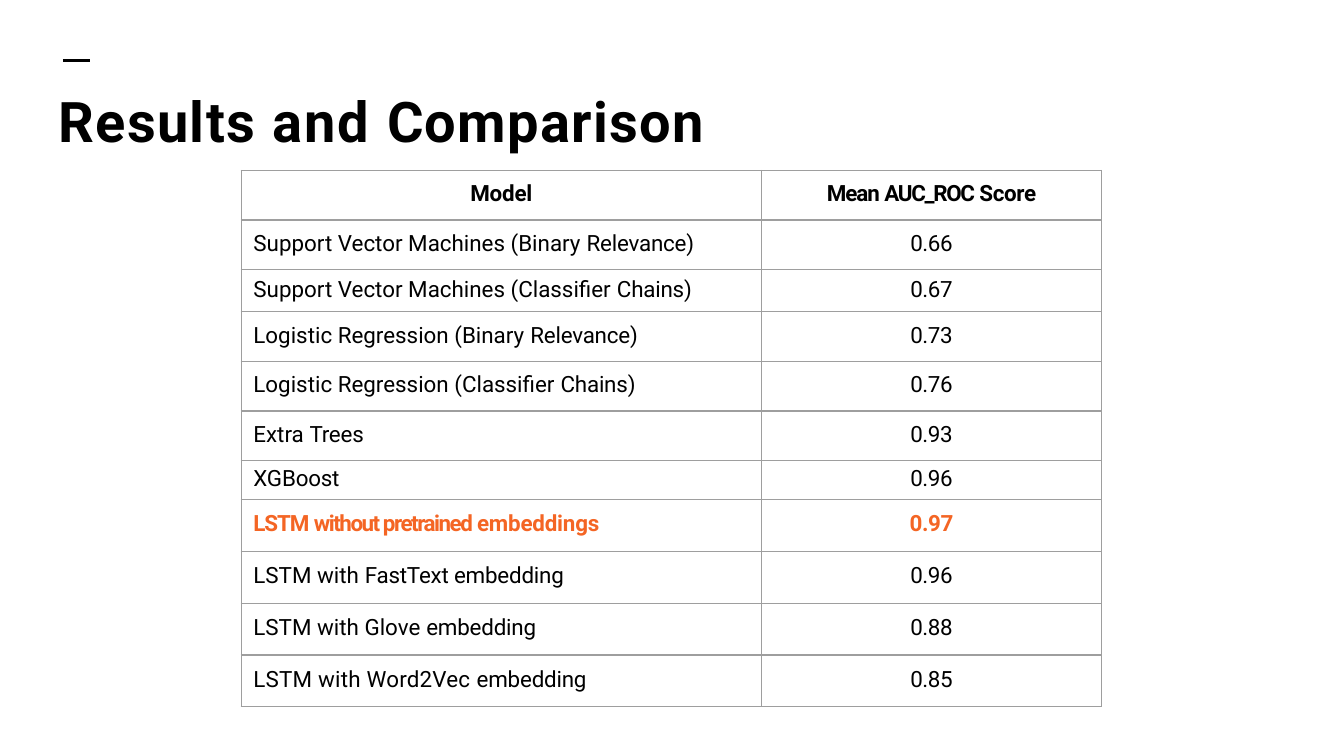
"""Build the results slide: a title above a table of models and scores."""
from lxml.etree import SubElement
from pptx import Presentation
from pptx.dml.color import RGBColor
from pptx.enum.shapes import MSO_CONNECTOR
from pptx.enum.text import MSO_ANCHOR, MSO_AUTO_SIZE, PP_ALIGN
from pptx.oxml import parse_xml
from pptx.oxml.ns import nsdecls, qn
from pptx.util import Cm, Pt

FONT, BLACK, ORANGE, GREY = "Roboto", "000000", "F46524", "9E9E9E"
TITLE = [("Results ", 0.8), ("and ", 1), ("Comparison", 0.7)]
HEADER = ([("Model", -0.1)], [("Mean ", -0.6), ("AUC_ROC ", -0.7), ("Score", -0.2)])
RESULTS = [
    ([("Support Vector Machines (Binary ", 0), ("Relevance)", -0.1)], "0.66"),
    ([("Support Vector Machines (Classifier ", 0), ("Chains)", -0.1)], "0.67"),
    ([("Logistic Regression (Binary ", 0), ("Relevance)", -0.1)], "0.73"),
    ([("Logistic Regression (Classifier ", 0), ("Chains)", -0.1)], "0.76"),
    ([("Extra ", 0), ("Trees", -0.1)], "0.93"),
    ([("XGBoost", -0.1)], "0.96"),
    ([("LSTM ", -0.6), ("without pretrained ", -0.8), ("embeddings", -0.1)], "0.97"),
    ([("LSTM with ", 0), ("FastText embedding", -0.1)], "0.96"),
    ([("LSTM with Glove ", 0), ("embedding", -0.1)], "0.88"),
    ([("LSTM with Word2Vec ", 0.1), ("embedding", -0.1)], "0.85"),
]
BEST_ROW = 7
COLUMN_WIDTHS = (9.83, 6.43)
REGULAR, LOW, LOWEST, TALL = (0.94, 5.7), (0.79, 3.7), (0.73, 2.6), (0.98, 6.2)
ROW_STYLES = [REGULAR] * 2 + [LOW] + [REGULAR] * 3 + [LOWEST] + [TALL] * 4


def color(value):
    return RGBColor.from_string(value)


def write(frame, runs, size, bold, text_color, align):
    paragraph = frame.paragraphs[0]
    paragraph.alignment = align
    font = paragraph.font
    font.name, font.size, font.bold = FONT, Pt(size), bold
    font.color.rgb = color(text_color)
    for text, spacing in runs:
        run = paragraph.add_run()
        run.text = text
        run._r.get_or_add_rPr().set("spc", str(round(spacing * 100)))


def add_borders(cell):
    properties = cell._tc.get_or_add_tcPr()
    for index, side in enumerate(("lnL", "lnR", "lnT", "lnB")):
        border = parse_xml(f'<a:{side} {nsdecls("a")} w="{Pt(0.75)}"><a:solidFill>'
                           f'<a:srgbClr val="{GREY}"/></a:solidFill></a:{side}>')
        properties.insert(index, border)


def add_title(slide):
    title = slide.shapes.title
    title.left, title.top, title.width, title.height = Cm(1.07), Cm(1.6), Cm(17.17), Cm(1.35)
    frame = title.text_frame
    frame.margin_left = frame.margin_top = Cm(0.03)
    frame.margin_right = frame.margin_bottom = 0
    frame.vertical_anchor = MSO_ANCHOR.TOP
    frame.auto_size = MSO_AUTO_SIZE.NONE
    write(frame, TITLE, 30, True, BLACK, PP_ALIGN.LEFT)


def add_dash(slide):
    dash = slide.shapes.add_connector(
        MSO_CONNECTOR.STRAIGHT, Cm(1.19), Cm(1.15), Cm(1.7), Cm(1.15))
    dash.line.color.rgb = color(BLACK)
    dash.line.width = Pt(1.5)
    SubElement(dash._element.spPr, qn("a:effectLst"))


def add_results(slide):
    rows = [HEADER] + [(model, [(score, -0.2)]) for model, score in RESULTS]
    table = slide.shapes.add_table(
        len(rows), len(COLUMN_WIDTHS), Cm(4.56), Cm(3.22), Cm(sum(COLUMN_WIDTHS)),
        Cm(sum(height for height, _ in ROW_STYLES))).table
    table.first_row = table.horz_banding = False
    for column, width in zip(table.columns, COLUMN_WIDTHS):
        column.width = Cm(width)
    for row_index, (row, (height, margin)) in enumerate(zip(rows, ROW_STYLES)):
        table.rows[row_index].height = Cm(height)
        bold = row_index in (0, BEST_ROW)
        text_color = ORANGE if row_index == BEST_ROW else BLACK
        for column_index, runs in enumerate(row):
            cell = table.cell(row_index, column_index)
            is_label = row_index > 0 and column_index == 0
            cell.margin_left = Cm(0.23) if is_label else 0
            cell.margin_right = cell.margin_bottom = 0
            cell.margin_top = Pt(margin)
            cell.fill.background()
            add_borders(cell)
            write(cell.text_frame, runs, 12, bold, text_color,
                  PP_ALIGN.LEFT if is_label else PP_ALIGN.CENTER)


def main():
    presentation = Presentation()
    presentation.slide_width, presentation.slide_height = Cm(25.4), Cm(14.29)
    slide = presentation.slides.add_slide(presentation.slide_layouts[5])
    add_dash(slide)
    add_title(slide)
    add_results(slide)
    presentation.save("out.pptx")


if __name__ == "__main__":
    main()
